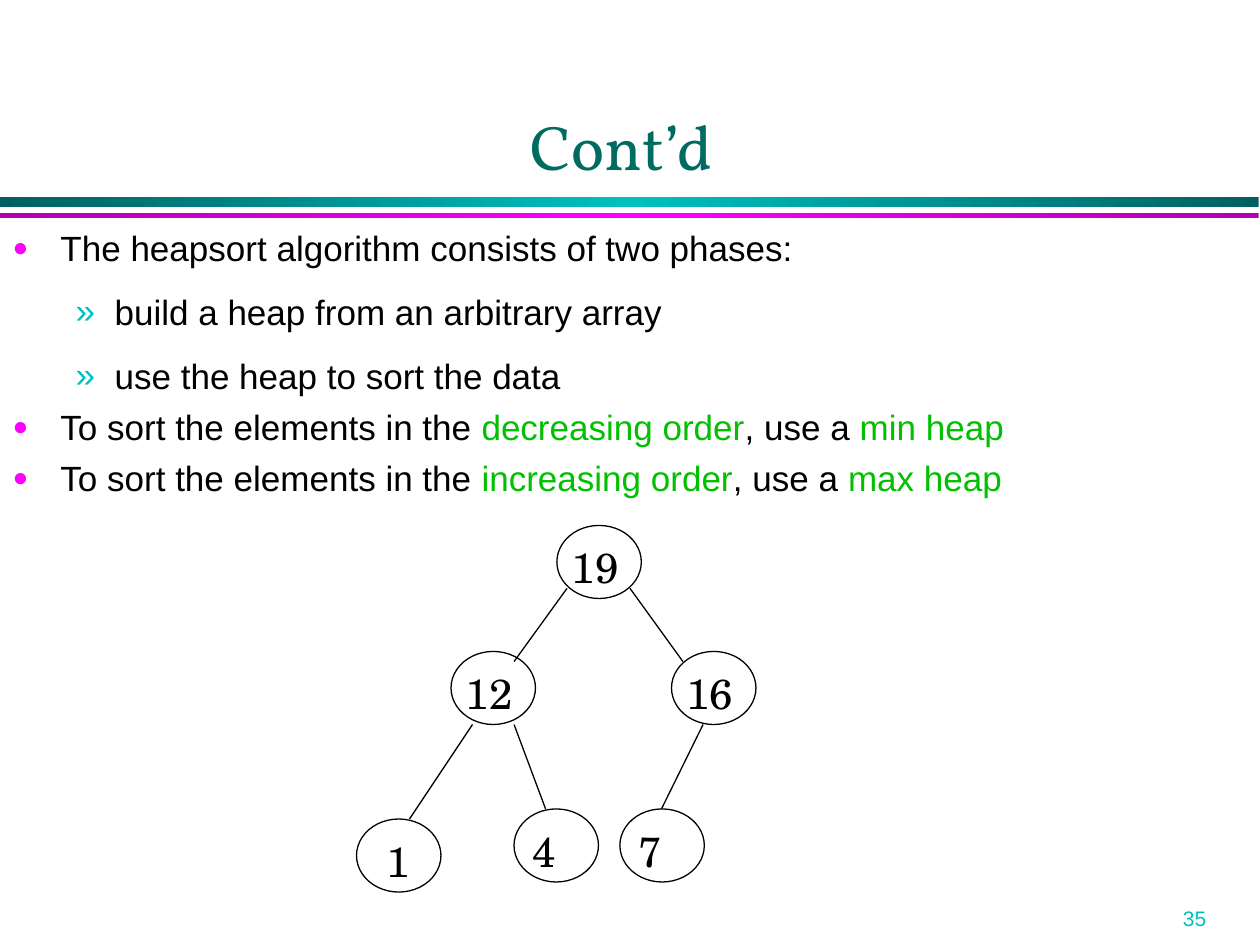
from copy import deepcopy
from lxml.etree import SubElement as Sub
from pptx import Presentation
from pptx.dml.color import RGBColor as RGB
from pptx.enum.shapes import MSO_CONNECTOR as Link, MSO_SHAPE as Form
from pptx.enum.text import MSO_ANCHOR as Anchor, MSO_AUTO_SIZE as Fit, PP_ALIGN as Align
from pptx.oxml.ns import qn
from pptx.util import Inches, Pt

theme = {
    "ink": "000000", "title": "006B61", "key": "00C000",
    "dot": "FF00FF", "aqua": "00C0C0", "teal": "006060", "plum": "B200B2",
    "sans": "Arial", "serif": "Vollkorn", "digit": "TeX Gyre Schola",
    "head": 36, "text": 20, "node": 24, "page": 12,
}


def add_run(para, text, face, size, color):
    run = para.add_run()
    run.text = text
    run.font.name = theme[face]
    run.font.size = Pt(theme[size])
    run.font.color.rgb = RGB.from_string(theme[color])


def add_label(x, y, w, h, text, face, size, color):
    box = slide.shapes.add_textbox(Inches(x), Inches(y), Inches(w), Inches(h))
    box.text_frame.word_wrap = False
    box.text_frame.auto_size = Fit.SHAPE_TO_FIT_TEXT
    add_run(box.text_frame.paragraphs[0], text, face, size, color)


deck = Presentation()
deck.slide_width, deck.slide_height = Inches(10), Inches(7.5)
slide = deck.slides.add_slide(deck.slide_layouts[1])

for top, high, edge, mid in [(1.56, 0.08, "teal", "aqua"), (1.69, 0.04, "plum", "dot")]:
    bar = slide.shapes.add_shape(Form.RECTANGLE, 0, Inches(top), Inches(9.99), Inches(high))
    bar.shadow.inherit = False
    bar.line.fill.background()
    bar.fill.gradient()
    bar.fill.gradient_angle = 0
    stops = bar._element.spPr.find(".//" + qn("a:gsLst"))
    stops.append(deepcopy(stops[0]))
    for stop, spot, color in zip(bar.fill.gradient_stops, (0, 0.5, 1), (edge, mid, edge)):
        stop.position = spot
        stop.color.rgb = RGB.from_string(theme[color])

add_label(9.29, 7.14, 0.96, 0.3, "35", "sans", "page", "aqua")

title = slide.shapes.title
title.left, title.top, title.width, title.height = map(Inches, (0.68, 0.25, 8.5, 1.25))
title.text_frame.vertical_anchor = Anchor.BOTTOM
title.text_frame.auto_size = Fit.NONE
para = title.text_frame.paragraphs[0]
para.alignment = Align.CENTER
add_run(para, "Cont’d", "serif", "head", "title")

body = slide.placeholders[1]
body.left, body.top, body.width, body.height = map(Inches, (0, 1.75, 9.83, 5.42))
frame = body.text_frame
frame.auto_size = Fit.NONE
levels = [(0.38, 0.38, "dot", 75, "●"), (0.81, 0.31, "aqua", 100, "»")]
items = [
    (0, 0, ["The heapsort algorithm consists of two phases:"]),
    (1, 12.5, ["build a heap from an arbitrary array"]),
    (1, 12.5, ["use the heap to sort the data"]),
    (0, 5, ["To sort the elements in the ", "decreasing order", ", use a ", "min heap"]),
    (0, 5, ["To sort the elements in the ", "increasing order", ", use a ", "max heap"]),
]
for i, (level, gap, parts) in enumerate(items):
    para = frame.add_paragraph() if i else frame.paragraphs[0]
    para.level = level
    para.space_before = Pt(gap)
    left, hang, color, size, mark = levels[level]
    props = para._p.get_or_add_pPr()
    props.set("marL", str(Inches(left)))
    props.set("indent", str(-Inches(hang)))
    Sub(Sub(props, qn("a:buClr")), qn("a:srgbClr"), val=theme[color])
    Sub(props, qn("a:buSzPct"), val=str(size * 1000))
    Sub(props, qn("a:buFont"), typeface=theme["sans"])
    Sub(props, qn("a:buChar"), char=mark)
    for j, part in enumerate(parts):
        add_run(para, part, "sans", "text", "key" if j % 2 else "ink")

nodes = [
    ("19", 4.42, 4.17, 0.02), ("12", 3.58, 5.17, 0.02), ("16", 5.33, 5.17, 0.02),
    ("4", 4.08, 6.42, 0.05), ("1", 2.83, 6.5, 0.14), ("7", 4.92, 6.42, 0.05),
]
for text, x, y, shift in nodes:
    node = slide.shapes.add_shape(Form.OVAL, Inches(x), Inches(y), Inches(0.67), Inches(0.58))
    node.shadow.inherit = False
    node.fill.background()
    node.line.color.rgb = RGB.from_string(theme["ink"])
    node.line.width = Pt(0.75)
    wide = 0.19 + 0.19 * len(text)
    add_label(x + shift, y + 0.08, wide, 0.5, text, "digit", "node", "ink")

edges = [
    (4.5, 4.67, 4.08, 5.25), (3.75, 5.75, 3.25, 6.5), (4.08, 5.75, 4.33, 6.42),
    (5, 4.67, 5.42, 5.25), (5.58, 5.75, 5.25, 6.42),
]
for ends in edges:
    edge = slide.shapes.add_connector(Link.STRAIGHT, *map(Inches, ends))
    edge.line.color.rgb = RGB.from_string(theme["ink"])
    edge.line.width = Pt(0.75)
    Sub(edge._element.spPr, qn("a:effectLst"))

deck.save("out.pptx")
